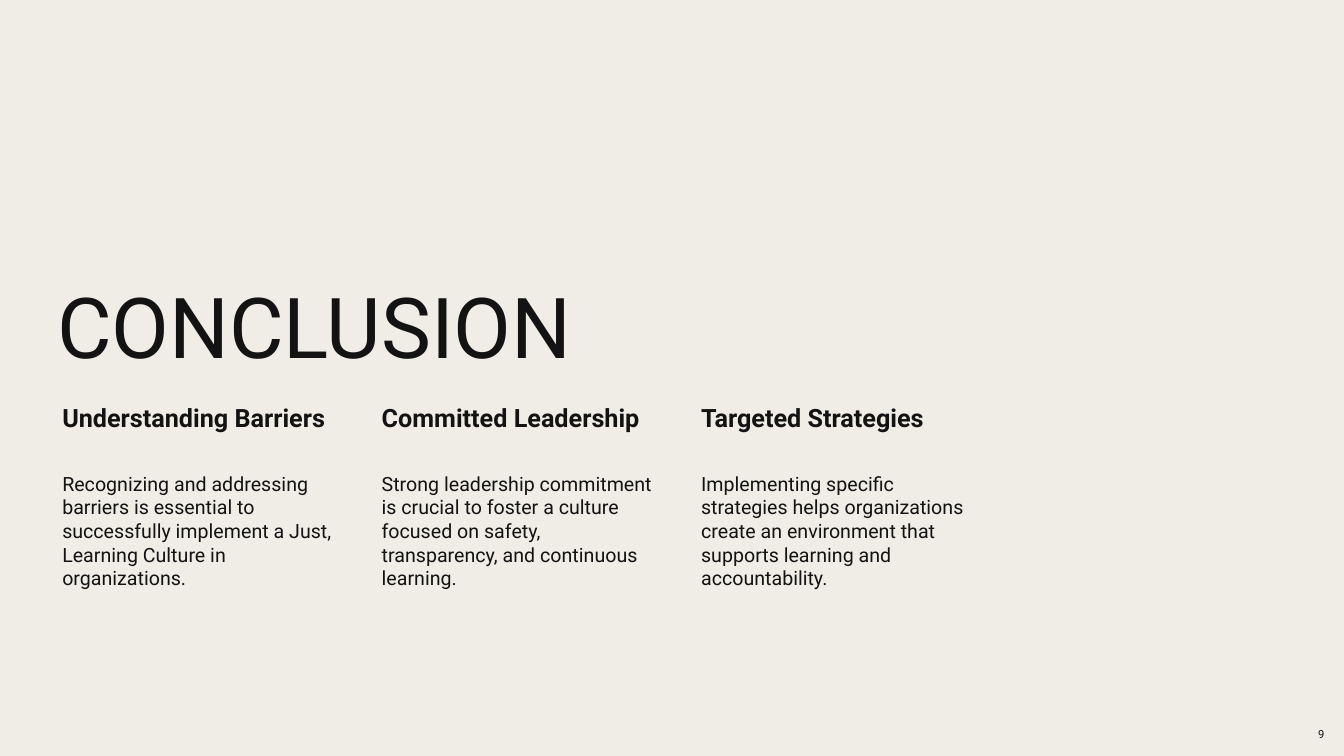
from pptx import Presentation
from pptx.dml.color import RGBColor
from pptx.enum.text import MSO_ANCHOR as Anchor, PP_ALIGN as Align
from pptx.util import Cm, Pt

INK = RGBColor(0x13, 0x13, 0x13)
PAPER = RGBColor(0xF0, 0xED, 0xE6)

LEFT, COLUMN_WIDTH, COLUMN_STEP = 1.19, 7.32, 8.05
HEADING_TOP, HEADING_HEIGHT = 10.06, 1.75
BODY_TOP, BODY_HEIGHT = 11.84, 3.33

TAKEAWAYS = [
    ("Understanding Barriers",
     "Recognizing and addressing barriers is essential to successfully "
     "implement a Just, Learning Culture in organizations."),
    ("Committed Leadership",
     "Strong leadership commitment is crucial to foster a culture focused on "
     "safety, transparency, and continuous learning."),
    ("Targeted Strategies",
     "Implementing specific strategies helps organizations create an "
     "environment that supports learning and accountability."),
]


class PageBuilder:
    font_name = "Roboto"

    def __init__(self, page):
        self.page = page

    def background(self, color):
        fill = self.page.background.fill
        fill.solid()
        fill.fore_color.rgb = color

    def text(self, words, left, top, width, height, size, bold=False,
             insets=(0.25, 0.13, 0.25, 0.13), anchor=Anchor.TOP, **paragraph_format):
        """Add a one-paragraph box; lengths and insets (left, top, right, bottom) in cm."""
        box = self.page.shapes.add_textbox(Cm(left), Cm(top), Cm(width), Cm(height))
        frame = box.text_frame
        frame.word_wrap = True
        frame.vertical_anchor = anchor
        for side, inset in zip(("left", "top", "right", "bottom"), insets):
            setattr(frame, f"margin_{side}", Cm(inset))
        para = frame.paragraphs[0]
        for name, value in paragraph_format.items():
            setattr(para, name, value)
        span = para.add_run()
        span.text = words
        font_format = {"name": self.font_name, "size": Pt(size), "bold": bold}
        for name, value in font_format.items():
            setattr(span.font, name, value)
        span.font.color.rgb = INK

    def takeaway(self, left, heading, body):
        self.text(heading, left, HEADING_TOP, COLUMN_WIDTH, HEADING_HEIGHT, 18,
                  bold=True, insets=(0.38, 0.08, 0.08, 0.08))
        self.text(body, left, BODY_TOP, COLUMN_WIDTH, BODY_HEIGHT, 14,
                  insets=(0.38, 0.05, 0.05, 0.05))


def main():
    deck = Presentation()
    deck.slide_width, deck.slide_height = Cm(33.87), Cm(19.05)
    builder = PageBuilder(deck.slides.add_slide(deck.slide_layouts[6]))
    builder.background(PAPER)
    builder.text("CONCLUSION", LEFT, 4.52, 23.42, 5.11, 60,
                 anchor=Anchor.BOTTOM, line_spacing=0.9)
    for column, (heading, body) in enumerate(TAKEAWAYS):
        builder.takeaway(LEFT + column * COLUMN_STEP, heading, body)
    builder.text("9", 32.36, 18.03, 1.27, 0.94, 8, anchor=Anchor.MIDDLE,
                 alignment=Align.RIGHT, space_after=Pt(6))
    deck.save("out.pptx")


if __name__ == "__main__":
    main()
